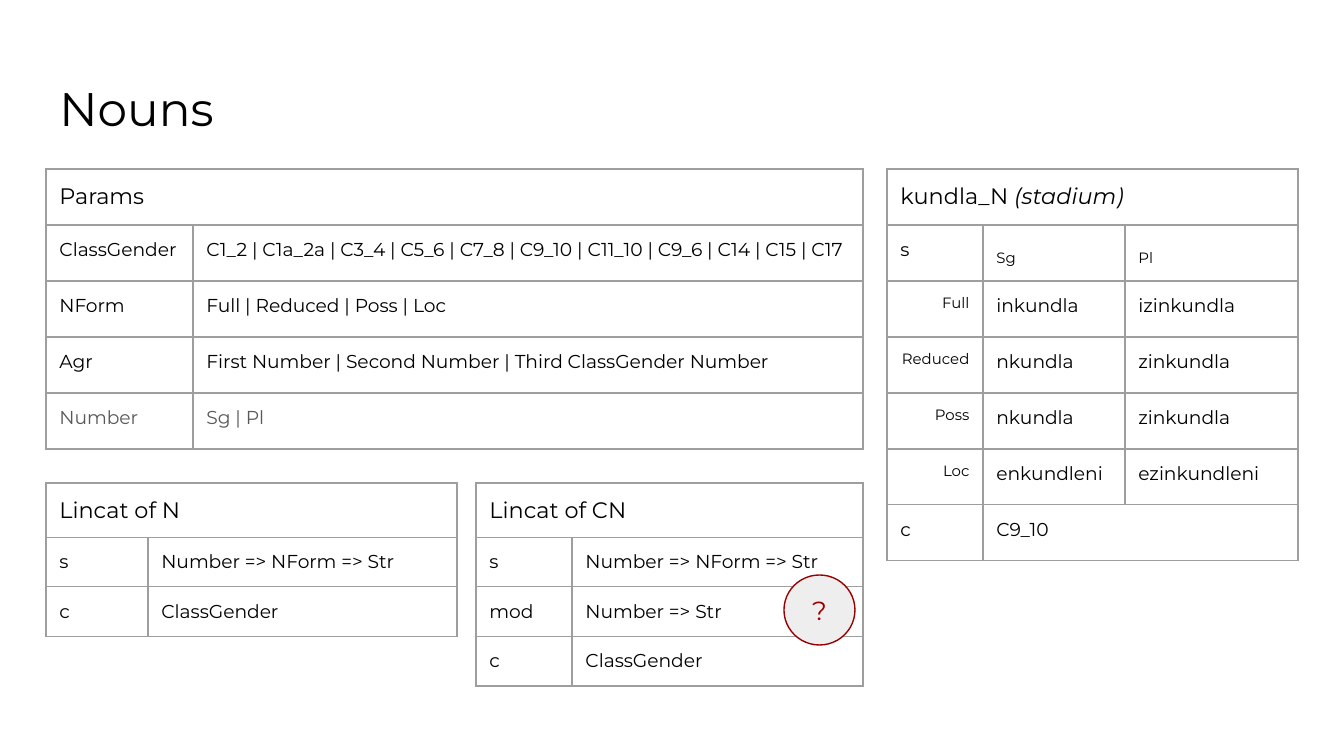
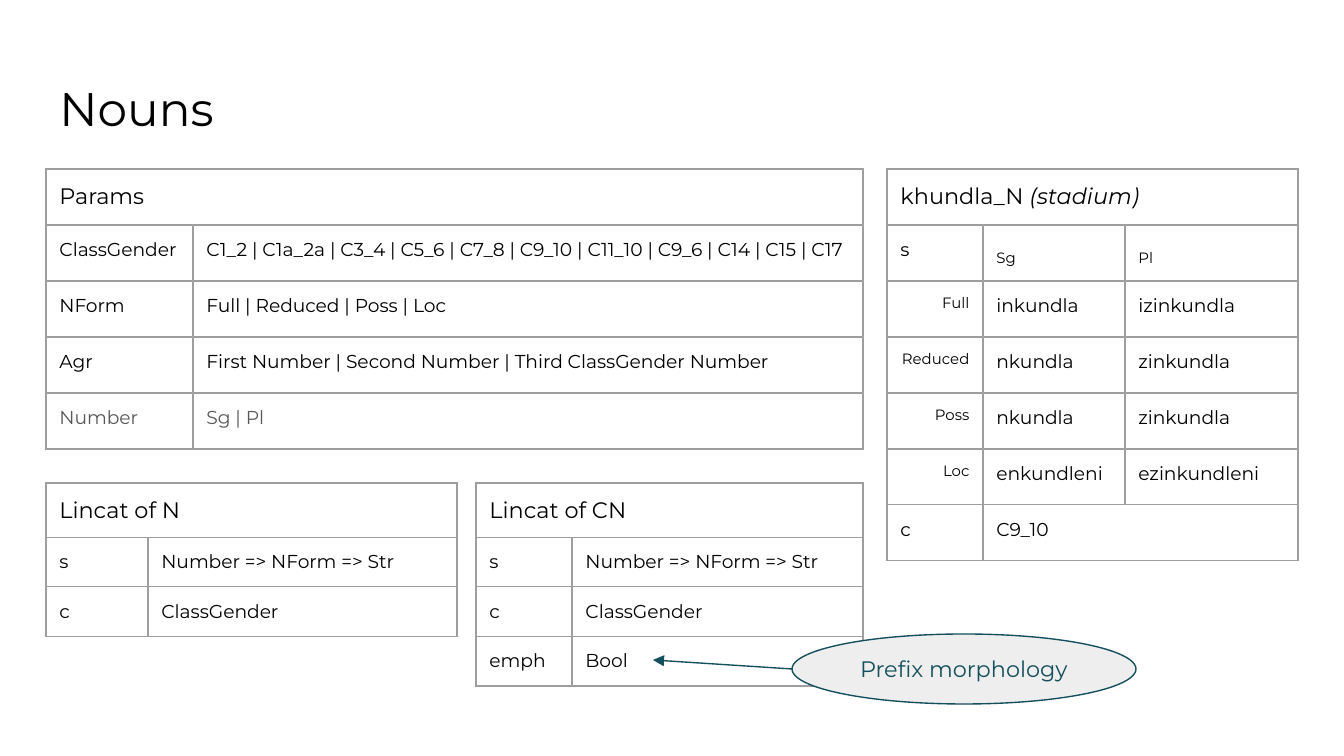
import pptx
import pptx.dml.color
import pptx.enum.shapes
import pptx.enum.text
import pptx.oxml
import pptx.oxml.ns
import pptx.util

PX = 914400 / 134.4  # EMU in one px
FONT = "Montserrat"
COLORS = {
    "text": "000000", "muted": "595959", "border": "9E9E9E",
    "callout": "EEEEEE", "question": "980000", "remark": "134F5C",
}
ALIGN = pptx.enum.text.PP_ALIGN
ANCHOR = pptx.enum.text.MSO_ANCHOR

# Cell styles: size, colour, alignment, anchor
STYLES = {
    "heading": (12, "text", ALIGN.LEFT, ANCHOR.TOP),
    "body": (10, "text", ALIGN.LEFT, ANCHOR.TOP),
    "muted": (10, "muted", ALIGN.LEFT, ANCHOR.TOP),
    "form": (8, "text", ALIGN.RIGHT, ANCHOR.TOP),
    "number": (8, "text", ALIGN.LEFT, ANCHOR.BOTTOM),
}

# Table content: a cell is a text or (text, style); None joins the cell to its left
PARAMS = [
    ("Params", None),
    ("ClassGender", "C1_2 | C1a_2a | C3_4 | C5_6 | C7_8 | C9_10 | C11_10 | C9_6 | C14 | C15 | C17"),
    ("NForm", "Full | Reduced | Poss | Loc"),
    ("Agr", "First Number | Second Number | Third ClassGender Number"),
    (("Number", "muted"), ("Sg | Pl", "muted")),
]
LINCAT_N = [
    ("Lincat of N", None),
    ("s", "Number => NForm => Str"),
    ("c", "ClassGender"),
]
INFLECTION = [
    ("s", ("Sg", "number"), ("Pl", "number")),
    (("Full", "form"), "inkundla", "izinkundla"),
    (("Reduced", "form"), "nkundla", "zinkundla"),
    (("Poss", "form"), "nkundla", "zinkundla"),
    (("Loc", "form"), "enkundleni", "ezinkundleni"),
    ("c", "C9_10", None),
]
SLIDES = [
    {
        "noun": "kundla_N ",
        "lincat_cn": [("s", "Number => NForm => Str"), ("mod", "Number => Str"), ("c", "ClassGender")],
        "callout": {"text": "?", "size": 14, "color": "question", "box": (784, 575, 71, 70)},
    },
    {
        "noun": "khundla_N ",
        "lincat_cn": [("s", "Number => NForm => Str"), ("c", "ClassGender"), ("emph", "Bool")],
        "callout": {"text": "Prefix morphology", "size": 12, "color": "remark",
                    "box": (792, 634, 344, 70), "points_at": (653, 660)},
    },
]

# Layout in px
TITLE_BOX = (46, 66, 1252, 85)
LEFT, MIDDLE, RIGHT = 46, 476, 887
UPPER, LOWER = 169, 483
ROOMY_ROWS = (56, 56)  # heading row, other rows
TIGHT_ROWS = (54, 49)


def px(*lengths):
    return [pptx.util.Emu(round(length * PX)) for length in lengths]


def rgb(name):
    return pptx.dml.color.RGBColor.from_string(COLORS[name])


def format_paragraph(paragraph, size, color, alignment):
    paragraph.alignment = alignment
    paragraph.font.name = FONT
    paragraph.font.size = pptx.util.Pt(size)
    paragraph.font.color.rgb = rgb(color)


def set_margins(target):
    target.margin_left = target.margin_right = pptx.util.Inches(0.1)
    target.margin_top = target.margin_bottom = pptx.util.Inches(0.1)


def add_borders(cell):
    properties = cell._tc.get_or_add_tcPr()
    for index, side in enumerate("LRTB"):
        properties.insert(index, pptx.oxml.parse_xml(
            f'<a:ln{side} {pptx.oxml.ns.nsdecls("a")} w="9525"><a:solidFill>'
            f'<a:srgbClr val="{COLORS["border"]}"/></a:solidFill></a:ln{side}>'))


def fill_cell(cell, content, default_style):
    text, style = content if isinstance(content, tuple) else (content, default_style)
    size, color, alignment, anchor = STYLES[style]
    cell.fill.background()
    add_borders(cell)
    set_margins(cell)
    cell.vertical_anchor = anchor
    paragraph = cell.text_frame.paragraphs[0]
    format_paragraph(paragraph, size, color, alignment)
    if text:
        paragraph.add_run().text = text


def add_grid(slide, left, top, widths, row_heights, rows):
    heading_height, body_height = row_heights
    heights = [heading_height] + [body_height] * (len(rows) - 1)
    frame = slide.shapes.add_table(
        len(rows), len(widths), *px(left, top, sum(widths), sum(heights)))
    table = frame.table
    table.first_row = table.horz_banding = False
    for column, width in zip(table.columns, px(*widths)):
        column.width = width
    for row, height in zip(table.rows, px(*heights)):
        row.height = height
    for row_index, contents in enumerate(rows):
        for column_index, content in enumerate(contents):
            fill_cell(table.cell(row_index, column_index), content,
                      "body" if row_index else "heading")
        if None in contents:
            start = contents.index(None) - 1
            table.cell(row_index, start).merge(table.cell(row_index, len(widths) - 1))
    return table


def add_title(slide, text):
    title = slide.shapes.title
    title.left, title.top, title.width, title.height = px(*TITLE_BOX)
    frame = title.text_frame
    frame.text = text
    frame.auto_size = pptx.enum.text.MSO_AUTO_SIZE.NONE
    frame.vertical_anchor = ANCHOR.TOP
    set_margins(frame)
    format_paragraph(frame.paragraphs[0], 25.2, "text", ALIGN.LEFT)


def add_arrow(slide, start, end, color):
    arrow = slide.shapes.add_connector(
        pptx.enum.shapes.MSO_CONNECTOR.STRAIGHT, *px(*start, *end))
    arrow.line.color.rgb = rgb(color)
    arrow.line.width = pptx.util.Pt(0.75)
    namespace = pptx.oxml.ns.nsdecls("a")
    arrow.line._get_or_add_ln().append(
        pptx.oxml.parse_xml(f'<a:tailEnd {namespace} type="triangle"/>'))
    arrow._element.spPr.append(pptx.oxml.parse_xml(f"<a:effectLst {namespace}/>"))


def add_callout(slide, callout):
    color = callout["color"]
    left, top, width, height = callout["box"]
    shape = slide.shapes.add_shape(
        pptx.enum.shapes.MSO_SHAPE.OVAL, *px(left, top, width, height))
    shape.shadow.inherit = False
    shape.fill.solid()
    shape.fill.fore_color.rgb = rgb("callout")
    shape.line.color.rgb = rgb(color)
    shape.line.width = pptx.util.Pt(0.75)
    frame = shape.text_frame
    frame.text = callout["text"]
    frame.word_wrap = True
    frame.vertical_anchor = ANCHOR.MIDDLE
    set_margins(frame)
    format_paragraph(frame.paragraphs[0], callout["size"], color, ALIGN.CENTER)
    if "points_at" in callout:
        add_arrow(slide, (left, top + height / 2), callout["points_at"], color)


def build_slide(presentation, content):
    slide = presentation.slides.add_slide(presentation.slide_layouts[5])
    add_title(slide, "Nouns")

    # Parameters and linearization categories
    add_grid(slide, LEFT, LOWER, (102, 309), TIGHT_ROWS, LINCAT_N)
    add_grid(slide, LEFT, UPPER, (147, 670), ROOMY_ROWS, PARAMS)
    add_grid(slide, MIDDLE, LOWER, (96, 291), TIGHT_ROWS,
             [("Lincat of CN", None)] + content["lincat_cn"])

    # Inflection of the example noun
    inflection = add_grid(slide, RIGHT, UPPER, (96, 142, 173), ROOMY_ROWS,
                          [(content["noun"], None, None)] + INFLECTION)
    gloss = inflection.cell(0, 0).text_frame.paragraphs[0].add_run()
    gloss.text = "(stadium)"
    gloss.font.italic = True

    add_callout(slide, content["callout"])


def main():
    presentation = pptx.Presentation()
    presentation.slide_width, presentation.slide_height = px(1344, 756)
    for content in SLIDES:
        build_slide(presentation, content)
    presentation.save("out.pptx")


if __name__ == "__main__":
    main()
